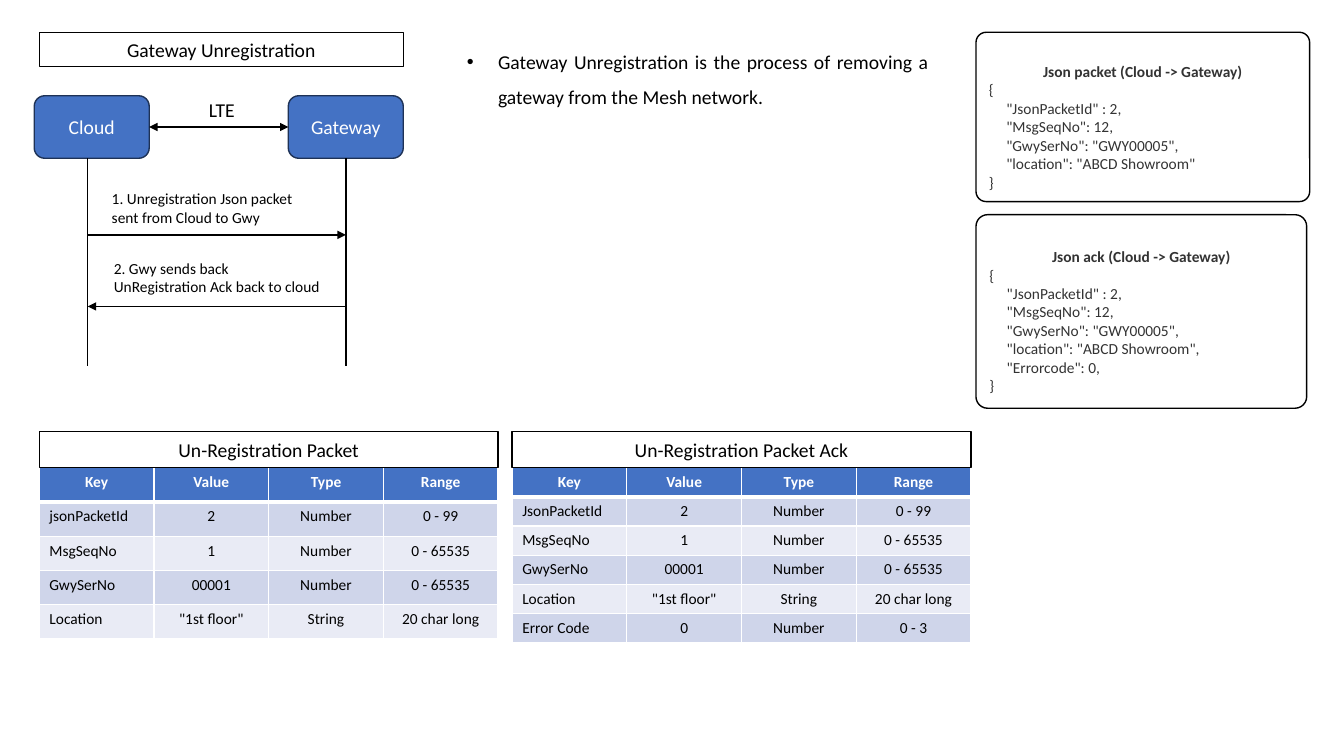
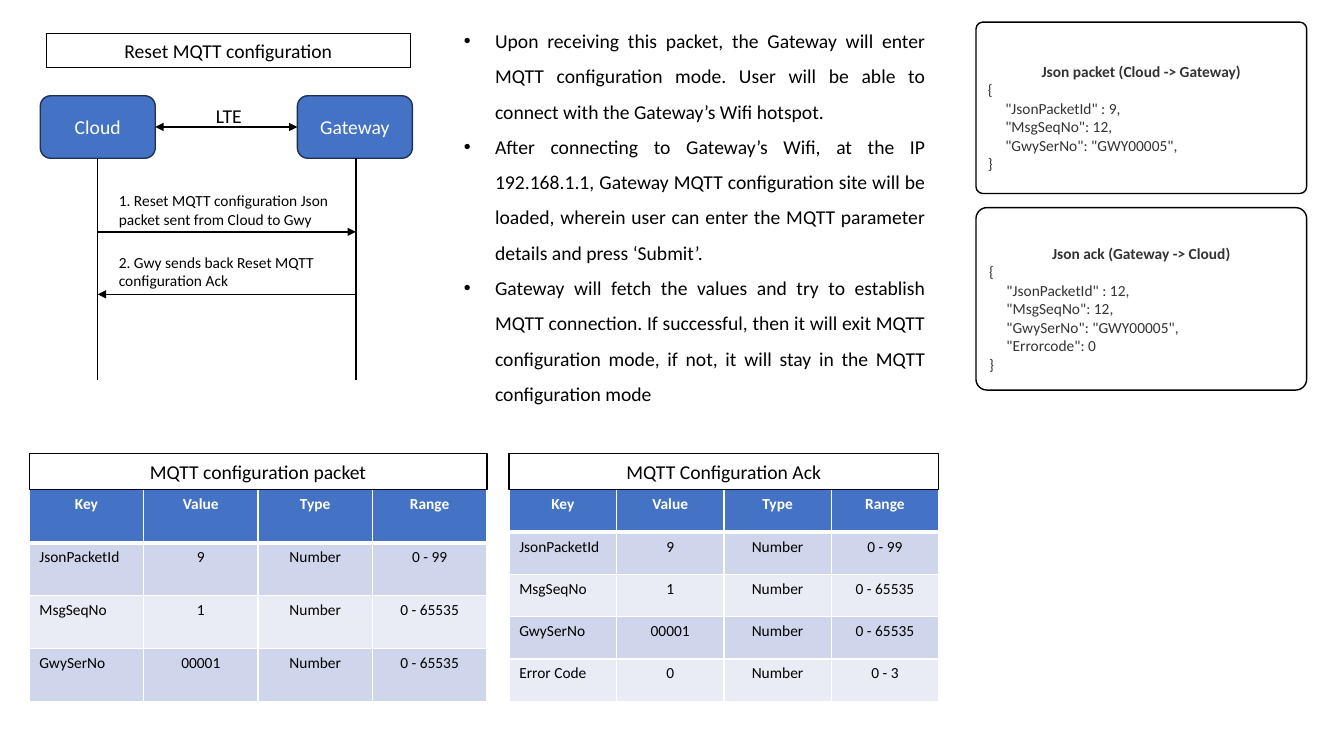
"""Build two slides describing gateway message exchanges."""
from dataclasses import dataclass

from lxml.etree import SubElement
from pptx import Presentation
from pptx.dml.color import RGBColor
from pptx.enum.shapes import MSO_CONNECTOR as Connector, MSO_SHAPE as Shape
from pptx.enum.text import MSO_ANCHOR as Anchor, MSO_AUTO_SIZE as AutoSize, PP_ALIGN as Align
from pptx.oxml.ns import qn
from pptx.util import Inches, Pt


@dataclass(frozen=True)
class Theme:
    """Colours and type sizes shared by the slides."""
    font: str = "Calibri"
    heading: int = 14
    detail: int = 11
    black: str = "000000"
    white: str = "FFFFFF"
    code: str = "333333"
    accent: str = "4472C4"
    accent_line: str = "1E3256"
    bands: tuple = ("CFD5EA", "E9EBF5")


@dataclass(frozen=True)
class Sequence:
    """Places and labels of a cloud to gateway sequence diagram."""
    cloud_left: float
    gateway_left: float
    lifelines: tuple
    bottom: float
    link_label: tuple
    messages: tuple


THEME = Theme()
NODE_TOP, NODE_WIDTH, NODE_HEIGHT = 0.95, 1.14, 0.62
CAPTION_HEIGHT = 0.36
TABLE_HEADER = ("Key", "Value", "Type", "Range")
LOCATION_ROW = ("Location", '"1st floor"', "String", "20 char long")
ERROR_ROW = ("Error Code", "0", "Number", "0 - 3")


def colour(value):
    """Turn a hex string into a colour."""
    return RGBColor.from_string(value)


def place(item, left, top, width, height):
    """Move and size a shape, in inches."""
    item.left, item.top = Inches(left), Inches(top)
    item.width, item.height = Inches(width), Inches(height)


def style(para, size, ink=THEME.black, align=Align.LEFT, bold=False):
    """Format one paragraph."""
    para.alignment = align
    para.font.name = THEME.font
    para.font.size = Pt(size)
    para.font.bold = bold
    para.font.color.rgb = colour(ink)


def outline(shape, fill, line):
    """Give a shape a solid fill and a thin line."""
    shape.fill.solid()
    shape.fill.fore_color.rgb = colour(fill)
    shape.line.color.rgb = colour(line)
    shape.line.width = Pt(1)


def set_frame(shape, anchor):
    """Use wrapped text with standard insets and no autofit."""
    frame = shape.text_frame
    frame.word_wrap = True
    frame.auto_size = AutoSize.NONE
    frame.vertical_anchor = anchor
    frame.margin_left = frame.margin_right = Inches(0.1)
    frame.margin_top = frame.margin_bottom = Inches(0.05)
    return frame


def add_box(slide, kind, at, text, fill=THEME.white, line=THEME.black, ink=THEME.black):
    """Draw a filled shape with centred heading text."""
    box = slide.shapes.add_shape(kind, *map(Inches, at))
    box.shadow.inherit = False
    outline(box, fill, line)
    frame = set_frame(box, Anchor.MIDDLE)
    frame.text = text
    style(frame.paragraphs[0], THEME.heading, ink, Align.CENTER)
    return box


def add_label(slide, at, text, size, align=Align.LEFT):
    """Add a plain text label."""
    frame = set_frame(slide.shapes.add_textbox(*map(Inches, at)), Anchor.TOP)
    frame.text = text
    style(frame.paragraphs[0], size, align=align)


def add_line(slide, start, end, arrows=()):
    """Draw a thin line with arrowheads at the named ends."""
    line = slide.shapes.add_connector(Connector.STRAIGHT, *map(Inches, start + end))
    line.line.color.rgb = colour(THEME.black)
    line.line.width = Pt(1)
    for arrow in arrows:
        SubElement(line.line._get_or_add_ln(), qn(f"a:{arrow}"), type="triangle")
    SubElement(line._element.spPr, qn("a:effectLst"))


def fill_title(slide, at, text):
    """Place the framed slide title."""
    title = slide.shapes.title
    place(title, *at)
    outline(title, THEME.white, THEME.black)
    frame = set_frame(title, Anchor.MIDDLE)
    frame.text = text
    style(frame.paragraphs[0], THEME.heading, align=Align.CENTER)


def fill_body(slide, at, items):
    """Place the justified bullet list."""
    body = slide.placeholders[1]
    place(body, *at)
    frame = set_frame(body, Anchor.TOP)
    frame.text = "\n".join(items)
    for para in frame.paragraphs:
        properties = para._p.get_or_add_pPr()
        properties.set("marL", str(Inches(0.31)))
        properties.set("indent", str(Inches(-0.31)))
        para.line_spacing = 1.5
        para.space_before = Pt(0)
        style(para, THEME.heading, align=Align.JUSTIFY)


def add_sequence(slide, sequence):
    """Draw the two nodes, their link, lifelines and messages."""
    for left, name in ((sequence.cloud_left, "Cloud"), (sequence.gateway_left, "Gateway")):
        add_box(slide, Shape.ROUNDED_RECTANGLE, (left, NODE_TOP, NODE_WIDTH, NODE_HEIGHT),
                name, THEME.accent, THEME.accent_line, THEME.white)
    middle = NODE_TOP + NODE_HEIGHT / 2
    add_line(slide, (sequence.cloud_left + NODE_WIDTH, middle),
             (sequence.gateway_left, middle), ("headEnd", "tailEnd"))
    add_label(slide, (*sequence.link_label, 0.84, 0.34), "LTE", THEME.heading, Align.CENTER)
    for x in sequence.lifelines:
        add_line(slide, (x, NODE_TOP + NODE_HEIGHT), (x, sequence.bottom))
    ends = sequence.lifelines
    for arrow_y, left, top, text in sequence.messages:
        add_line(slide, (ends[0], arrow_y), (ends[1], arrow_y), ("tailEnd",))
        add_label(slide, (left, top, 2.29, 0.47), text, THEME.detail)
        ends = ends[::-1]


def add_json(slide, at, corner, heading, fields):
    """Draw a rounded panel with a heading and a JSON object."""
    panel = add_box(slide, Shape.ROUNDED_RECTANGLE, at, heading)
    panel.adjustments[0] = corner
    frame = panel.text_frame
    frame.margin_top = Inches(0.24)
    frame.text = "\n".join([heading, "{", *(f"     {field}" for field in fields), "}"])
    for para in frame.paragraphs:
        style(para, THEME.detail, THEME.code)
    style(frame.paragraphs[0], THEME.detail, THEME.code, Align.CENTER, True)


def set_borders(cell, bottom):
    """Give a cell white borders, with its own bottom width."""
    properties = cell._tc.get_or_add_tcPr()
    for side, width in (("lnL", 1), ("lnR", 1), ("lnT", 1), ("lnB", bottom)):
        line = SubElement(properties, qn(f"a:{side}"), w=str(Pt(width)))
        fill = SubElement(line, qn("a:solidFill"))
        SubElement(fill, qn("a:srgbClr"), val=THEME.white)


def format_cell(cell, text, row, column):
    """Write one table cell in header or banded style."""
    header = row == 0
    next_to_header = row == 1
    set_borders(cell, 3 if header else 1)
    if next_to_header:
        cell._tc.tcPr.find(qn("a:lnT")).set("w", str(Pt(3)))
    cell.fill.solid()
    cell.fill.fore_color.rgb = colour(THEME.accent if header else THEME.bands[(row - 1) % 2])
    cell.text = text
    style(cell.text_frame.paragraphs[0], THEME.detail,
          THEME.white if header else THEME.black,
          Align.CENTER if header or column else Align.LEFT, header)


def add_packet_table(slide, left, top, width, height, caption, rows):
    """Draw a captioned table of packet fields."""
    rows = (TABLE_HEADER, *rows)
    table = slide.shapes.add_table(
        len(rows), len(TABLE_HEADER), Inches(left), Inches(top + CAPTION_HEIGHT),
        Inches(width), Inches(height)).table
    for row in table.rows:
        row.height = Inches(height / len(rows))
    for row_index, texts in enumerate(rows):
        for column, text in enumerate(texts):
            format_cell(table.cell(row_index, column), text, row_index, column)
    add_box(slide, Shape.RECTANGLE, (left, top, width, CAPTION_HEIGHT), caption)


def packet_rows(packet_id, *extra, id_key="JsonPacketId"):
    """List the common packet fields followed by extra ones."""
    return ((id_key, packet_id, "Number", "0 - 99"),
            ("MsgSeqNo", "1", "Number", "0 - 65535"),
            ("GwySerNo", "00001", "Number", "0 - 65535"), *extra)


def add_unregistration(deck):
    """Build the gateway unregistration slide."""
    slide = deck.slides.add_slide(deck.slide_layouts[1])
    fill_title(slide, (0.39, 0.32, 3.61, 0.34), "Gateway Unregistration")
    fill_body(slide, (4.53, 0.33, 4.78, 0.77), (
        "Gateway Unregistration is the process of removing a gateway from the Mesh network.",))
    add_sequence(slide, Sequence(0.34, 2.86, (0.87, 3.43), 3.63, (1.78, 0.92), (
        (2.33, 1.01, 1.83, "1. Unregistration Json packet sent from Cloud to Gwy"),
        (3.04, 1.03, 2.52, "2. Gwy sends back UnRegistration Ack back to cloud"))))
    add_json(slide, (9.68, 0.32, 3.31, 1.68), 0.06, "Json packet (Cloud -> Gateway)", (
        '"JsonPacketId" : 2,', '"MsgSeqNo": 12,', '"GwySerNo": "GWY00005",',
        '"location": "ABCD Showroom"'))
    add_json(slide, (9.68, 2.13, 3.28, 1.92), 0.06, "Json ack (Cloud -> Gateway)", (
        '"JsonPacketId" : 2,', '"MsgSeqNo": 12,', '"GwySerNo": "GWY00005",',
        '"location": "ABCD Showroom",', '"Errorcode": 0,'))
    add_packet_table(slide, 0.39, 4.28, 4.55, 1.7, "Un-Registration Packet",
                     packet_rows("2", LOCATION_ROW, id_key="jsonPacketId"))
    add_packet_table(slide, 5.08, 4.28, 4.55, 1.7, "Un-Registration Packet Ack",
                     packet_rows("2", LOCATION_ROW, ERROR_ROW))


def add_reset(deck):
    """Build the MQTT configuration reset slide."""
    slide = deck.slides.add_slide(deck.slide_layouts[1])
    fill_title(slide, (0.46, 0.33, 3.61, 0.34), "Reset MQTT configuration")
    fill_body(slide, (4.5, 0.12, 4.78, 3.95), (
        "Upon receiving this packet, the Gateway will enter MQTT configuration mode. "
        "User will be able to connect with the Gateway’s Wifi hotspot.",
        "After connecting to Gateway’s Wifi, at the IP 192.168.1.1, Gateway MQTT "
        "configuration site will be loaded, wherein user can enter the MQTT parameter "
        "details and press ‘Submit’.",
        "Gateway will fetch the values and try to establish MQTT connection. If successful, "
        "then it will exit MQTT configuration mode, if not, it will stay in the MQTT "
        "configuration mode"))
    add_sequence(slide, Sequence(0.4, 2.95, (0.97, 3.53), 3.77, (1.85, 0.98), (
        (2.3, 1.08, 1.85, "1. Reset MQTT configuration Json packet sent from Cloud to Gwy"),
        (2.92, 1.08, 2.46, "2. Gwy sends back Reset MQTT configuration Ack"))))
    add_json(slide, (9.68, 0.22, 3.28, 1.7), 0.04, "Json packet (Cloud -> Gateway)", (
        '"JsonPacketId" : 9,', '"MsgSeqNo": 12,', '"GwySerNo": "GWY00005",'))
    add_json(slide, (9.68, 2.06, 3.28, 1.81), 0.06, "Json ack (Gateway -> Cloud)", (
        '"JsonPacketId" : 12,', '"MsgSeqNo": 12,', '"GwySerNo": "GWY00005",',
        '"Errorcode": 0'))
    add_packet_table(slide, 0.29, 4.5, 4.54, 2.1, "MQTT configuration packet",
                     packet_rows("9"))
    add_packet_table(slide, 5.05, 4.5, 4.26, 2.1, "MQTT Configuration Ack",
                     packet_rows("9", ERROR_ROW))


def main():
    """Create and save the deck."""
    deck = Presentation()
    deck.slide_width, deck.slide_height = Inches(13.33), Inches(7.5)
    add_unregistration(deck)
    add_reset(deck)
    deck.save("out.pptx")


if __name__ == "__main__":
    main()
